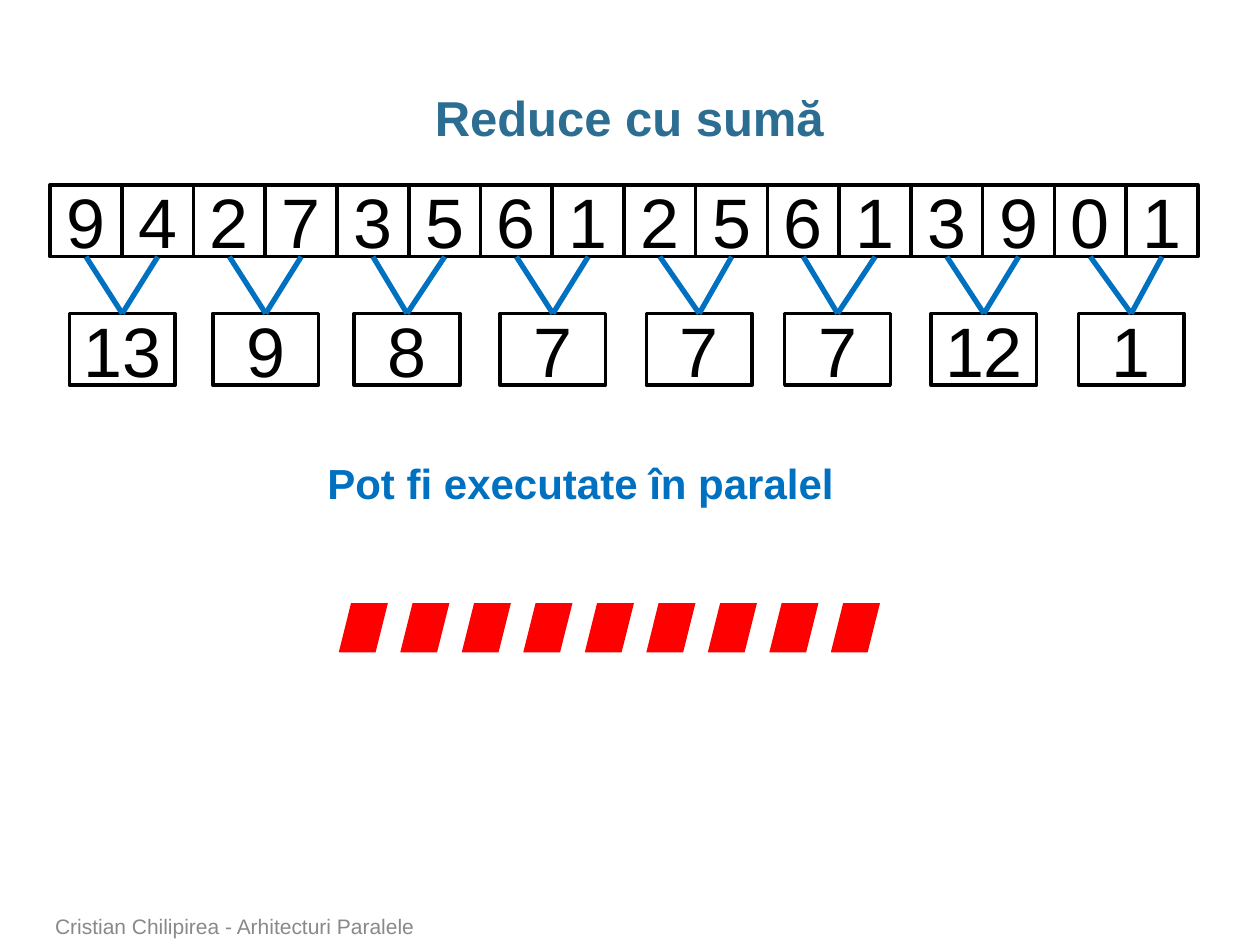
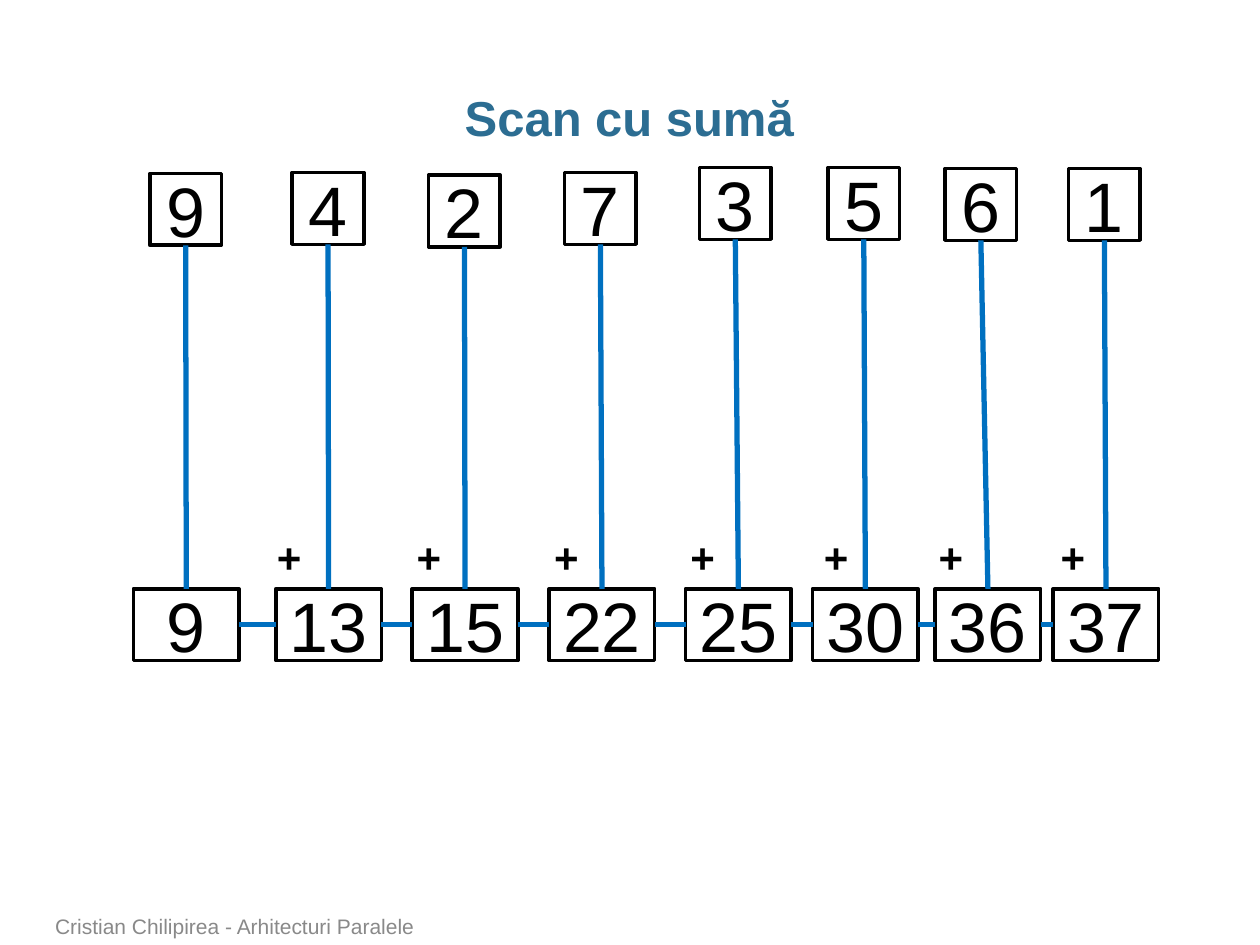
from dataclasses import dataclass
from itertools import accumulate, pairwise

from lxml.etree import SubElement
from pptx import Presentation
from pptx.dml.color import RGBColor as Rgb
from pptx.enum.shapes import MSO_CONNECTOR as Link, MSO_SHAPE as Form
from pptx.enum.text import MSO_ANCHOR as Anchor, PP_ALIGN as Align
from pptx.oxml.ns import qn
from pptx.util import Cm, Pt


@dataclass(frozen=True)
class Theme:
    font: str = "Arial"
    title: str = "2C6D92"
    accent: str = "0070C0"
    ink: str = "000000"
    mark: str = "FF0000"
    muted: str = "898989"
    head: int = 28
    digit: int = 40
    note: int = 24
    small: int = 12
    border: int = 2
    wire: int = 3


THEME = Theme()
TOP, LEFT, BOTTOM, RIGHT = range(4)
FOOTER = "Cristian Chilipirea - Arhitecturi Paralele"

# Sizes in centimetres
COUNT = 16
CELL = 23.14 / COUNT
WIDE = 2.13

DIGITS = [9, 4, 2, 7, 3, 5, 6, 1, 2, 5, 6, 1, 3, 9, 0, 1]


def write(frame, text, size, color, bold=False, align=Align.LEFT,
          anchor=Anchor.TOP, wrap=True, space=None):
    """Put one formatted paragraph in a text frame."""
    frame.word_wrap = wrap
    frame.vertical_anchor = anchor
    para = frame.paragraphs[0]
    para.alignment = align
    para.line_spacing = space
    run = para.add_run()
    run.text = text
    font = run.font
    font.name, font.size, font.bold = THEME.font, Pt(size), bold
    font.color.rgb = Rgb.from_string(color)


class Deck:
    def __init__(self, theme):
        self.theme = theme
        self.show = Presentation()
        self.show.slide_width, self.show.slide_height = Cm(25.4), Cm(19.05)
        self.slide = None

    def page(self, title):
        """Start a slide with the shared title and footer."""
        self.slide = self.show.slides.add_slide(self.show.slide_layouts[6])
        look = self.theme
        frame = self.label(title, 0.86, 1.73, 23.65, 1.27, size=look.head,
                           color=look.title, bold=True, align=Align.CENTER,
                           space=0.95)
        frame.margin_left = frame.margin_right = 0
        self.label(FOOTER, 0.86, 18.34, 18.72, 0.71, size=look.small,
                   color=look.muted, anchor=Anchor.BOTTOM)

    def label(self, text, x, y, w, h, **style):
        box = self.slide.shapes.add_textbox(Cm(x), Cm(y), Cm(w), Cm(h))
        write(box.text_frame, text, **style)
        return box.text_frame

    def note(self, text, x, y, w, color):
        self.label(text, x, y, w, 1.27, size=self.theme.note, color=color,
                   bold=True, wrap=False)

    def shape(self, form, x, y, w, h):
        item = self.slide.shapes.add_shape(form, Cm(x), Cm(y), Cm(w), Cm(h))
        item.shadow.inherit = False
        return item

    def cell(self, value, x, y, w=CELL):
        """Draw an outlined box with a number."""
        look = self.theme
        box = self.shape(Form.RECTANGLE, x, y, w, CELL)
        box.fill.background()
        box.line.color.rgb = Rgb.from_string(look.ink)
        box.line.width = Pt(look.border)
        write(box.text_frame, str(value), look.digit, look.ink,
              align=Align.CENTER, anchor=Anchor.MIDDLE)
        return box

    def slant(self, x, y, size):
        item = self.shape(Form.PARALLELOGRAM, x, y, size, size)
        item.fill.solid()
        item.fill.fore_color.rgb = Rgb.from_string(self.theme.mark)
        item.line.fill.background()

    def join(self, start, side, end, goal):
        """Link the side of one box to the side of another."""
        wire = self.slide.shapes.add_connector(Link.STRAIGHT, 0, 0, 0, 0)
        wire.begin_connect(start, side)
        wire.end_connect(end, goal)
        wire.line.color.rgb = Rgb.from_string(self.theme.accent)
        wire.line.width = Pt(self.theme.wire)
        SubElement(wire._element.spPr, qn("a:effectLst"))


def reduce_page(deck):
    deck.page("Reduce cu sumă")

    # Input row
    cells = [deck.cell(digit, 1.01 + i * CELL, 3.73)
             for i, digit in enumerate(DIGITS)]

    # Sums of neighbours
    lefts = [1.4, 4.29, 7.14, 10.08, 13.03, 15.82, 18.77, 21.74]
    for i, x in enumerate(lefts):
        pair = slice(2 * i, 2 * i + 2)
        total = deck.cell(sum(DIGITS[pair]), x, 6.32, WIDE)
        for cell in cells[pair]:
            deck.join(cell, BOTTOM, total, TOP)

    # Remark and row of marks
    deck.note("Pot fi executate în paralel", 6.35, 9.09, 10.82, THEME.accent)
    for i in range(9):
        deck.slant(6.83 + i * 1.24, 12.16, 0.99)


def scan_page(deck):
    deck.page("Scan cu sumă")
    spots = [(3.02, 3.5), (5.89, 3.48), (8.64, 3.53), (11.38, 3.48),
             (14.1, 3.38), (16.69, 3.38), (19.05, 3.4), (21.54, 3.4)]
    lefts = [2.69, 5.56, 8.31, 11.07, 13.82, 16.38, 18.85, 21.23]

    # Inputs above, running sums below
    digits = DIGITS[:len(spots)]
    cells = [deck.cell(digit, x, y) for digit, (x, y) in zip(digits, spots)]
    sums = [deck.cell(total, x, 11.87, WIDE)
            for total, x in zip(accumulate(digits), lefts)]

    # Links down and along the sums
    for cell, total in zip(cells, sums):
        deck.join(cell, BOTTOM, total, TOP)
    for last, total in pairwise(sums):
        deck.join(last, RIGHT, total, LEFT)

    # Plus signs
    for x in [5.33, 8.15, 10.92, 13.67, 16.36, 18.67, 21.13]:
        deck.note("+", x, 10.6, 1.02, THEME.ink)


def main():
    deck = Deck(THEME)
    reduce_page(deck)
    scan_page(deck)
    deck.show.save("out.pptx")


if __name__ == "__main__":
    main()
